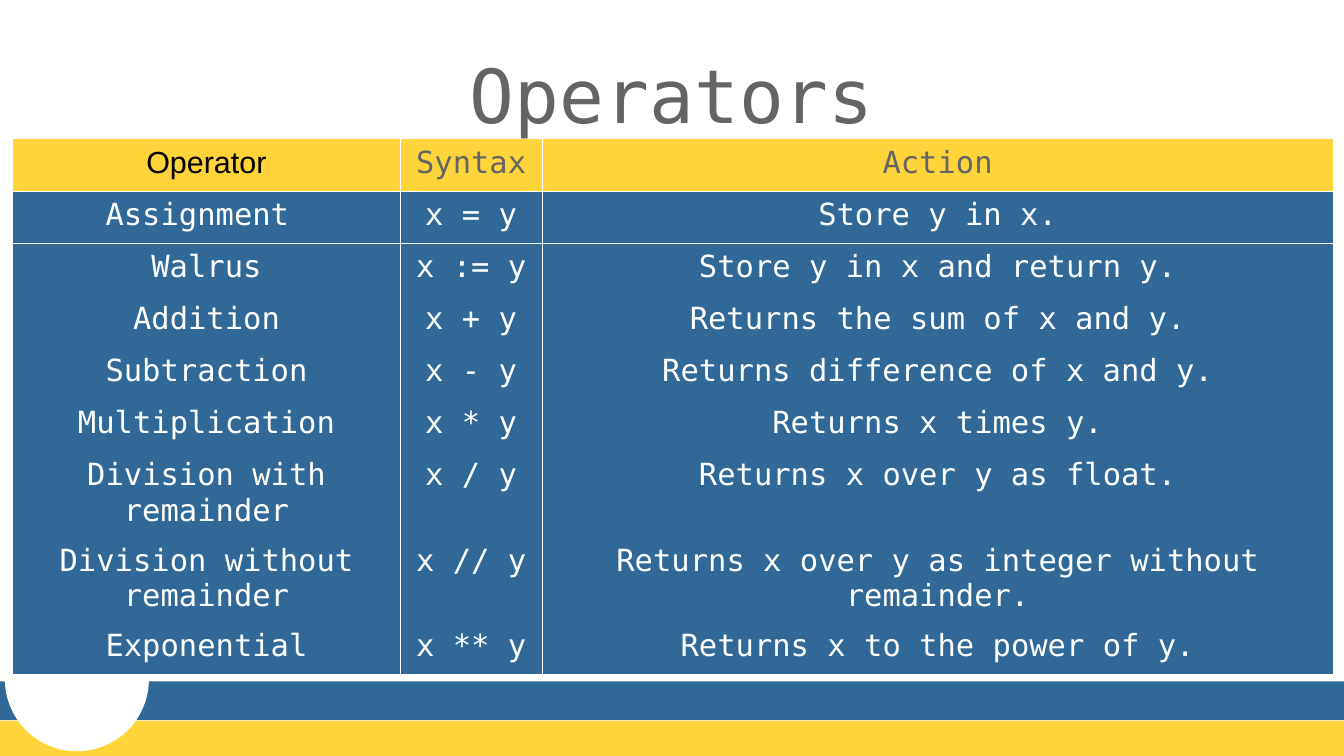
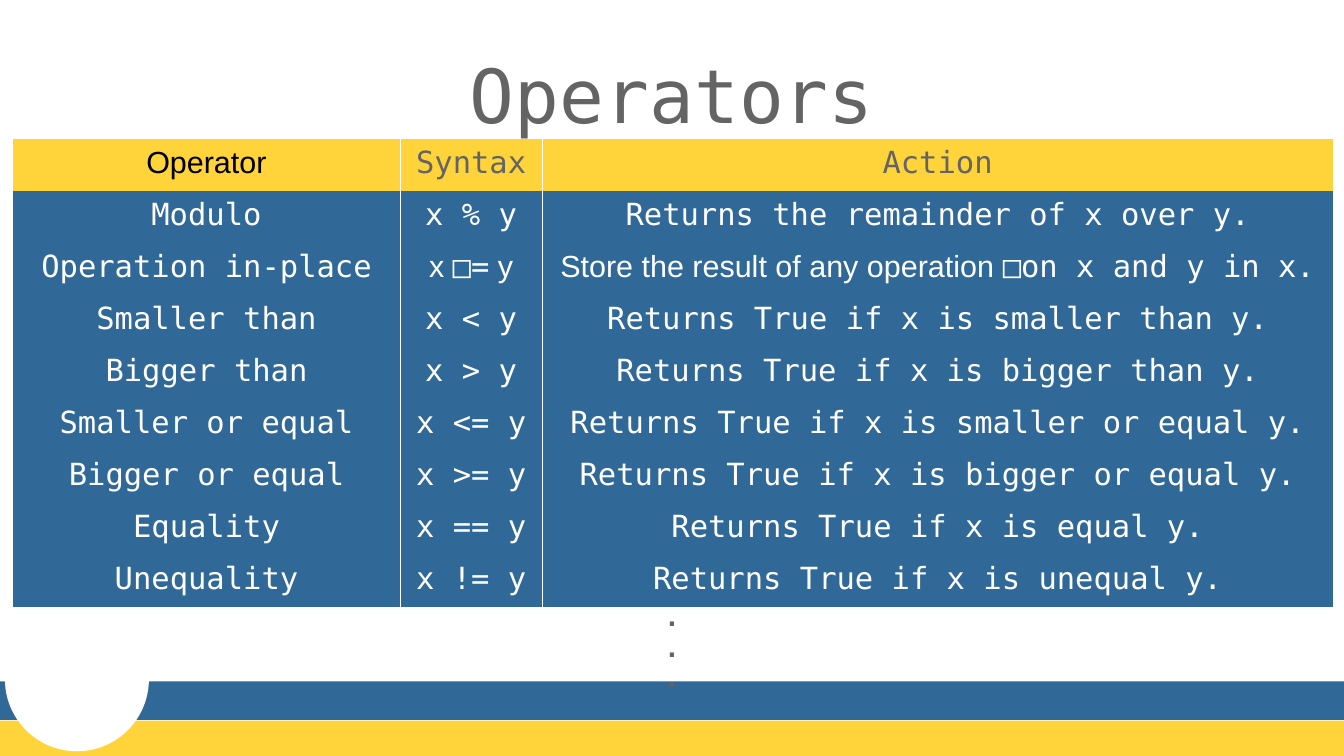
from lxml import etree
from pptx import Presentation
from pptx.dml.color import RGBColor
from pptx.enum import shapes, text
from pptx.util import Pt

WHITE = RGBColor(0xFF, 0xFF, 0xFF)
BLACK = RGBColor(0x00, 0x00, 0x00)
GREY = RGBColor(0x64, 0x64, 0x64)
BLUE = RGBColor(0x30, 0x69, 0x98)
YELLOW = RGBColor(0xFF, 0xD4, 0x3B)

MONO = "DejaVu Sans Mono"
SANS = "Arial"
NO_STYLE = "{2D5ABB26-0587-4C30-8999-92F81FD0307C}"
DRAWING = "http://schemas.openxmlformats.org/drawingml/2006/main"

# Shared layout, in points: left, top, width, height
RECTANGLE = shapes.MSO_SHAPE.RECTANGLE
FOOTER = [
    (RECTANGLE, YELLOW, (-5.8, 425.5, 805, 22.3)),
    (RECTANGLE, BLUE, (-5.8, 402.4, 805, 22.7)),
    (shapes.MSO_SHAPE.OVAL, WHITE, (2.9, 358.6, 85, 85)),
]
TITLE_BOX = (39.6, 18, 714.2, 74.9)
DOTS_BOX = (385.2, 351.4, 23, 59)
TABLE_LEFT, TABLE_TOP, ROW_HEIGHT = 7.4, 82.3, 30.72
COLUMN_WIDTHS = [229, 83.5, 467.3]

# Cells with several fonts are lists of (words, font)
HEADER = [[("Operator", SANS)], "Syntax", "Action"]
OPERATORS = [
    [
        ["Assignment ", "x = y", "Store y in x."],
        ["Walrus", "x := y", "Store y in x and return y."],
        ["Addition", "x + y", "Returns the sum of x and y."],
        ["Subtraction", "x - y", "Returns difference of x and y."],
        ["Multiplication", "x * y", "Returns x times y."],
        ["Division with remainder", "x / y", "Returns x over y as float."],
        ["Division without remainder", "x // y",
         "Returns x over y as integer without remainder."],
        ["Exponential", "x ** y", "Returns x to the power of y."],
    ],
    [
        ["Modulo", "x % y", "Returns the remainder of x over y."],
        ["Operation in-place",
         [("x ", SANS), ("□=", MONO), (" y", SANS)],
         [("Store the result of any operation ", SANS),
          ("□on x and y in x.", MONO)]],
        ["Smaller than", "x < y", "Returns True if x is smaller than y."],
        ["Bigger than", "x > y", "Returns True if x is bigger than y."],
        ["Smaller or equal", "x <= y",
         "Returns True if x is smaller or equal y."],
        ["Bigger or equal", "x >= y",
         "Returns True if x is bigger or equal y."],
        ["Equality", "x == y", "Returns True if x is equal y."],
        ["Unequality", "x != y", "Returns True if x is unequal y."],
    ],
]


def add_run(paragraph, words, color, **font_values):
    run = paragraph.add_run()
    run.text = words
    for name, value in font_values.items():
        setattr(run.font, name, value)
    run.font.color.rgb = color


def add_text(slide, box, lines, frame_values, alignment, **font_values):
    shape = slide.shapes.add_textbox(*map(Pt, box))
    frame = shape.text_frame
    for name, value in frame_values.items():
        setattr(frame, name, value)
    for index, line in enumerate(lines):
        paragraph = frame.add_paragraph() if index else frame.paragraphs[0]
        paragraph.alignment = alignment
        add_run(paragraph, line, GREY, name=MONO, **font_values)


presentation = Presentation()
presentation.slide_width = Pt(793.44)
presentation.slide_height = Pt(446.4)

for number, operators in enumerate(OPERATORS):
    slide = presentation.slides.add_slide(presentation.slide_layouts[6])

    # Footer bands and circle
    for kind, color, box in FOOTER:
        shape = slide.shapes.add_shape(kind, *map(Pt, box))
        shape.shadow.inherit = False
        shape.fill.solid()
        shape.fill.fore_color.rgb = color
        shape.line.fill.background()

    # Title
    title_frame = dict(word_wrap=True, vertical_anchor=text.MSO_ANCHOR.MIDDLE,
                       margin_left=0, margin_top=0,
                       margin_right=0, margin_bottom=0)
    add_text(slide, TITLE_BOX, ["Operators"], title_frame,
             text.PP_ALIGN.CENTER, size=Pt(44))

    # Operator table
    rows = [HEADER] + operators
    table = slide.shapes.add_table(
        len(rows), len(COLUMN_WIDTHS), Pt(TABLE_LEFT), Pt(TABLE_TOP),
        Pt(sum(COLUMN_WIDTHS)), Pt(ROW_HEIGHT * len(rows))).table
    table.first_row = table.horz_banding = False
    table._tbl.tblPr.find(f"{{{DRAWING}}}tableStyleId").text = NO_STYLE
    for column, width in zip(table.columns, COLUMN_WIDTHS):
        column.width = Pt(width)

    for row_index, row in enumerate(rows):
        table.rows[row_index].height = Pt(ROW_HEIGHT)
        is_header = row_index == 0
        # The first table alone has a rule under its header
        edges = ["lnL", "lnR"]
        if number == 0 and row_index == 1:
            edges.append("lnT")
        if row_index == len(rows) - 1 or (number == 0 and is_header):
            edges.append("lnB")

        for column_index, content in enumerate(row):
            cell = table.cell(row_index, column_index)
            properties = cell._tc.get_or_add_tcPr()
            for edge in edges:
                line = etree.SubElement(properties, f"{{{DRAWING}}}{edge}",
                                        w=str(Pt(0.06)))
                fill = etree.SubElement(line, f"{{{DRAWING}}}solidFill")
                etree.SubElement(fill, f"{{{DRAWING}}}srgbClr",
                                 val=str(WHITE))
            cell.fill.solid()
            cell.fill.fore_color.rgb = YELLOW if is_header else BLUE

            paragraph = cell.text_frame.paragraphs[0]
            paragraph.alignment = text.PP_ALIGN.CENTER
            runs = [(content, MONO)] if isinstance(content, str) else content
            for words, font_name in runs:
                header_color = BLACK if font_name == SANS else GREY
                add_run(paragraph, words, header_color if is_header else WHITE,
                        name=font_name, size=Pt(18))

# Dots below the last table
add_text(slide, DOTS_BOX, ["."] * 3, dict(word_wrap=False),
         text.PP_ALIGN.LEFT, size=Pt(15), bold=True)

presentation.save("out.pptx")
